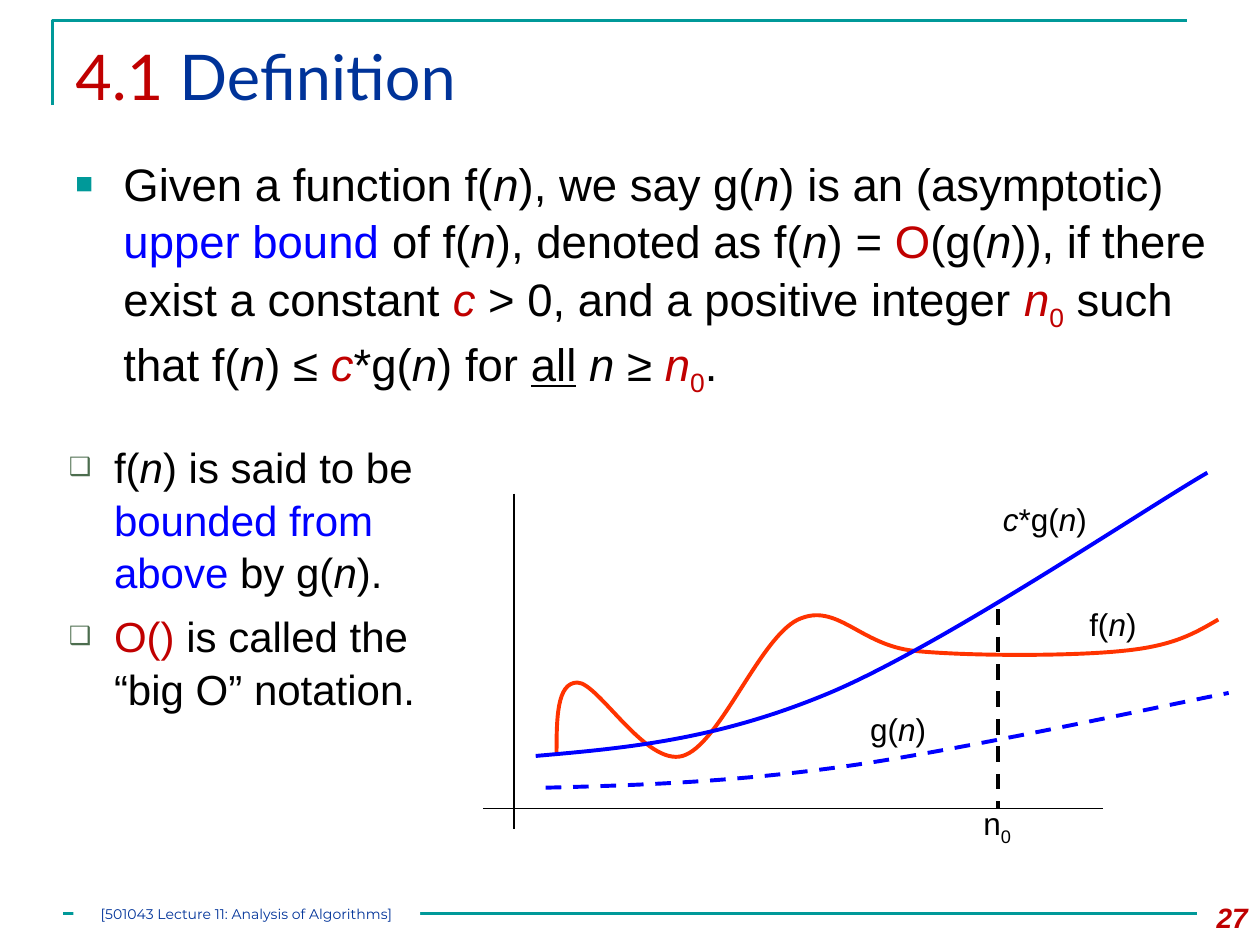
from lxml.etree import SubElement
from pptx import Presentation
from pptx.dml.color import RGBColor
from pptx.enum.dml import MSO_LINE
from pptx.enum.shapes import MSO_CONNECTOR, MSO_SHAPE
from pptx.enum.text import MSO_ANCHOR, PP_ALIGN as ALIGN
from pptx.oxml.ns import qn
from pptx.util import Cm, Pt

COLORS = {
    "teal": "009999", "navy": "003399", "red": "C00000", "black": "000000",
    "blue": "0000FF", "orange": "FF3300", "green": "4C6D4E", "white": "FFFFFF",
}


def color(name):
    return RGBColor.from_string(COLORS[name])


def write_runs(paragraph, runs, size, font="Arial"):
    for text, *styles in runs:
        run = paragraph.add_run()
        run.text = text
        run.font.name = font
        run.font.size = Pt(size)
        run.font.italic = "italic" in styles
        run.font.bold = "bold" in styles
        run.font.underline = "underline" in styles
        named = [style for style in styles if style in COLORS]
        run.font.color.rgb = color(named[0] if named else "black")
        if "sub" in styles:
            run.font._element.set("baseline", "-25000")


presentation = Presentation()
presentation.slide_width = Cm(25.4)
presentation.slide_height = Cm(19.05)
slide = presentation.slides.add_slide(presentation.slide_layouts[6])
shapes = slide.shapes

connectors = [
    ((1.27, 18.42), (24.13, 18.42), "teal", 1.5, None),
    ((9.74, 16.3), (22.23, 16.3), "black", 0.75, None),
    ((10.37, 9.95), (10.37, 16.72), "black", 1, None),
    ((20.11, 12.28), (20.11, 16.3), "black", 2.25, MSO_LINE.DASH),
]
for start, end, line_color, width, dash in connectors:
    ends = [Cm(value) for value in start + end]
    connector = shapes.add_connector(MSO_CONNECTOR.STRAIGHT, *ends)
    connector.line.color.rgb = color(line_color)
    connector.line.width = Pt(width)
    connector.line.dash_style = dash
    SubElement(connector._element.spPr, qn("a:effectLst"))

frame = [(1.06, 2.12), (1.06, 0.42), (23.92, 0.42)]
f_curve = [
    (11.22, 15.24),
    (11.22, 14.5), (11.22, 13.76), (11.64, 13.76),
    (12.06, 13.76), (13.02, 15.45), (13.76, 15.24),
    (14.5, 15.03), (15.31, 12.86), (16.09, 12.49),
    (16.87, 12.13), (17.33, 13), (18.42, 13.12),
    (19.5, 13.23), (21.62, 13.23), (22.65, 13.12),
    (23.68, 13.02), (24.11, 12.75), (24.56, 12.49),
]
cg_curve = [
    (10.8, 15.24),
    (12.62, 15.08), (14.45, 14.92), (16.72, 13.97),
    (18.98, 13.02), (23.06, 10.27), (24.34, 9.53),
]
g_curve = [
    (11, 15.88),
    (12.87, 15.83), (14.73, 15.77), (17.03, 15.45),
    (19.33, 15.13), (23.48, 14.22), (24.77, 13.97),
]
outlines = [
    (frame, "teal", 1.5, None, False),
    (f_curve, "orange", 2.25, None, True),
    (cg_curve, "blue", 2.25, None, True),
    (g_curve, "blue", 2.25, MSO_LINE.DASH, True),
]
for points, line_color, width, dash, curved in outlines:
    first, *rest = [(Cm(x), Cm(y)) for x, y in points]
    builder = shapes.build_freeform(*first)
    builder.add_line_segments(rest, close=False)
    outline = builder.convert_to_shape()
    outline.shadow.inherit = False
    outline.fill.background()
    outline.line.color.rgb = color(line_color)
    outline.line.width = Pt(width)
    outline.line.dash_style = dash
    if curved:
        segments = list(outline._element.iter(qn("a:lnTo")))
        for start in range(0, len(segments), 3):
            curve, *others = segments[start:start + 3]
            curve.tag = qn("a:cubicBezTo")
            for segment in others:
                curve.append(segment[0])
                segment.getparent().remove(segment)

n = ("n", "italic")
c = ("c", "red", "italic")
n0 = [("n", "red", "italic"), ("0", "red", "sub")]
definition = [
    ("Given a function f(",), n, ("), we say g(",), n,
    (") is an (asymptotic) ",), ("upper bound ", "blue"), ("of f(",), n,
    ("), denoted as f(",), n, (") = ",), ("O", "red"), ("(g(",), n,
    (")), if there exist a constant ",), ("c ", "red", "italic"),
    ("> 0, and a positive integer ",), *n0, (" such that f(",), n,
    (") ≤ ",), c, ("*g(",), n, (") for ",), ("all", "underline"),
    (" ",), n, (" ≥ ",), *n0, (".",),
]
bounded = [
    ("f(",), n, (") is said to be ",), ("bounded from above ", "blue"),
    ("by g(",), n, (").",),
]
notation = [("O() ", "red"), ("is called the “big O” notation.",)]

bullet_boxes = [
    ((1.27, 2.96, 23.5, 5.08), 26, [definition], "■", "teal", 65, 0.97, 0.97),
    ((1.06, 8.72, 8.89, 7.2), 24, [bounded, notation], "❑", "green", 60, 0.99, 0.91),
]
for box, size, items, mark, mark_color, percent, margin, hanging in bullet_boxes:
    text_frame = shapes.add_textbox(*[Cm(value) for value in box]).text_frame
    text_frame.word_wrap = True
    for index, runs in enumerate(items):
        paragraph = text_frame.add_paragraph() if index else text_frame.paragraphs[0]
        paragraph.line_spacing = 1.05
        paragraph.space_before = Pt(6)
        write_runs(paragraph, runs, size)
        properties = paragraph._element.get_or_add_pPr()
        properties.set("marL", str(Cm(margin)))
        properties.set("indent", str(-Cm(hanging)))
        bullet_color = SubElement(properties, qn("a:buClr"))
        SubElement(bullet_color, qn("a:srgbClr"), val=COLORS[mark_color])
        SubElement(properties, qn("a:buSzPct"), val=str(percent * 1000))
        SubElement(properties, qn("a:buFont"), typeface="Arial")
        SubElement(properties, qn("a:buChar"), char=mark)

title = [("4.1 ", "red"), ("Definition", "navy")]
text_boxes = [
    ((1.27, 0.64, 22.86, 2.18), title, 36, "Lato", ALIGN.LEFT),
    ((23.71, 18.03, 1.69, 1.02), [("27", "red", "bold", "italic")], 16, "Arial", ALIGN.RIGHT),
    ((19.69, 9.95, 2.75, 1.02), [("c", "italic"), ("*g(",), n, (")",)], 18, "Arial", ALIGN.CENTER),
    ((21.59, 12.07, 1.69, 1.02), [("f(",), n, (")",)], 18, "Arial", ALIGN.CENTER),
    ((19.26, 16.09, 1.69, 1.02), [("n",), ("0", "sub")], 18, "Arial", ALIGN.CENTER),
    ((17.15, 14.18, 1.91, 1.02), [("g(",), n, (")",)], 18, "Arial", ALIGN.CENTER),
]
for box, runs, size, font, alignment in text_boxes:
    text_frame = shapes.add_textbox(*[Cm(value) for value in box]).text_frame
    text_frame.word_wrap = True
    paragraph = text_frame.paragraphs[0]
    paragraph.alignment = alignment
    write_runs(paragraph, runs, size, font)

footer = shapes.add_shape(MSO_SHAPE.RECTANGLE, Cm(1.48), Cm(18.2), Cm(6.99), Cm(0.43))
footer.shadow.inherit = False
footer.fill.solid()
footer.fill.fore_color.rgb = color("white")
footer.line.fill.background()
text_frame = footer.text_frame
text_frame.margin_left = text_frame.margin_right = 0
text_frame.margin_top = text_frame.margin_bottom = 0
text_frame.vertical_anchor = MSO_ANCHOR.MIDDLE
paragraph = text_frame.paragraphs[0]
paragraph.alignment = ALIGN.CENTER
write_runs(paragraph, [("[501043 Lecture 11: Analysis of Algorithms]", "navy")], 8, "Montserrat")

presentation.save("out.pptx")
